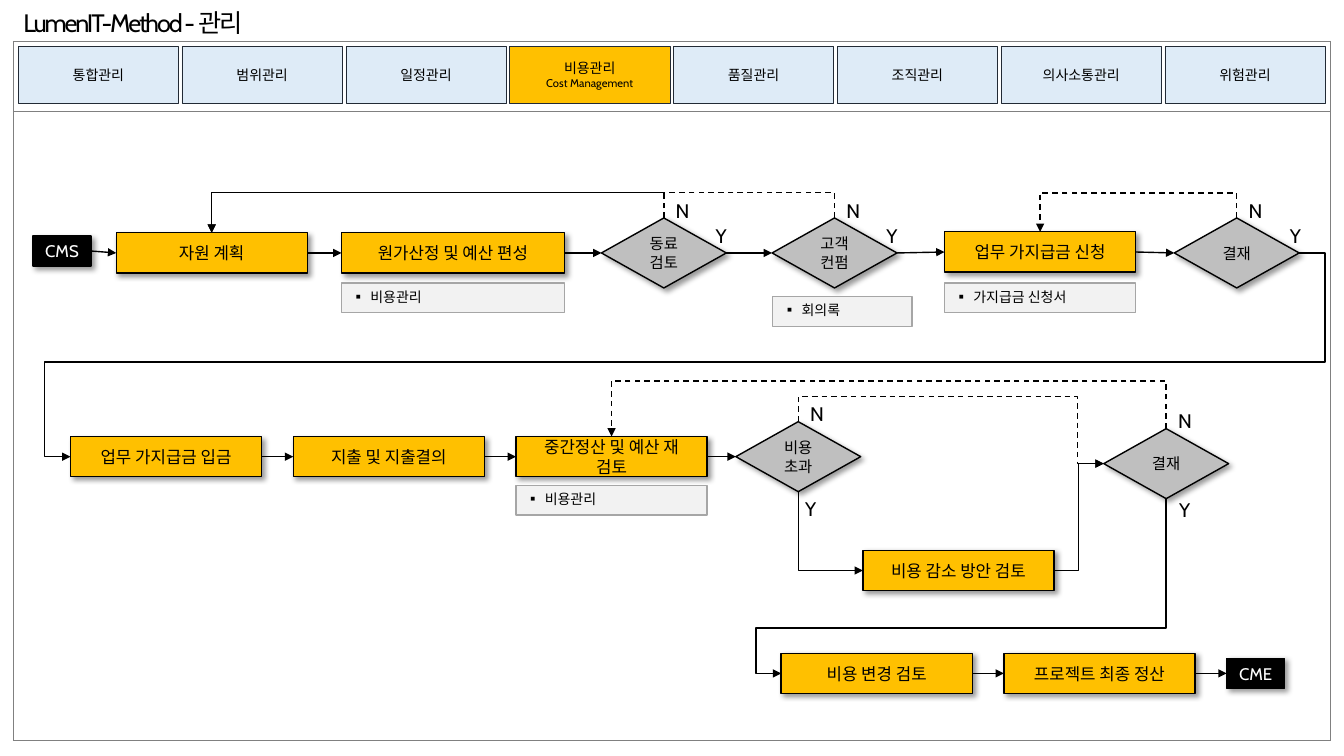
"""Build the cost management process slide."""
from lxml.etree import SubElement
from pptx import Presentation
from pptx.dml.color import RGBColor
from pptx.enum.dml import MSO_LINE
from pptx.enum.shapes import MSO_CONNECTOR, MSO_SHAPE
from pptx.enum.text import MSO_ANCHOR, MSO_AUTO_SIZE, PP_ALIGN
from pptx.oxml.ns import qn
from pptx.util import Pt

HUES = {
    "ink": "000000", "white": "FFFFFF", "gold": "FFC000", "sky": "DEEBF7",
    "navy": "222A35", "grey": "BFBFBF", "pale": "F2F2F2", "edge": "A6A6A6",
    "rule": "808080",
}
INK = {key: RGBColor.from_string(hue) for key, hue in HUES.items()}
HAN = "Noto Sans CJK KR"
RECT, GEM = MSO_SHAPE.RECTANGLE, MSO_SHAPE.DIAMOND

KINDS = {
    "tab": dict(form=RECT, high=41, fill="sky", line="navy", wide=0.25, size=10),
    "now": dict(form=RECT, high=41, fill="gold", line="navy", wide=0.25, size=10),
    "task": dict(form=RECT, high=28.8, fill="gold", line="ink", wide=1, size=12),
    "gate": dict(form=GEM, high=50, fill="grey", line="ink", wide=1, size=11),
    "end": dict(form=RECT, high=21.6, fill="ink", line="ink", wide=1, size=12),
    "note": dict(form=RECT, high=21.2, fill="pale", line="edge", wide=1, size=10),
}

deck = Presentation()
deck.slide_width, deck.slide_height = Pt(960), Pt(540)
slide = deck.slides.add_slide(deck.slide_layouts[5])
shapes = slide.shapes


def write(shape, text, size, hue="ink", face="Cabin", align=PP_ALIGN.CENTER,
          anchor=MSO_ANCHOR.MIDDLE, wrap=True):
    """Fill a shape with formatted lines of text."""
    frame = shape.text_frame
    frame.text = text
    frame.vertical_anchor = anchor
    frame.word_wrap = wrap
    if not wrap:
        frame.auto_size = MSO_AUTO_SIZE.SHAPE_TO_FIT_TEXT
    for para in frame.paragraphs:
        para.alignment = align
        for run in para.runs:
            looks = {"name": face, "size": Pt(size)}
            for key, value in looks.items():
                setattr(run.font, key, value)
            run.font.color.rgb = INK[hue]
            SubElement(run.font._element, qn("a:ea"), typeface=HAN)
    return frame


def wire(start, stop, form="line", turn=0, flip="", bends=(), dash=False):
    """Draw an arrow, straight or bent, with its bends in points."""
    (x1, y1), (x2, y2) = start, stop
    if form == "line":
        line = shapes.add_connector(MSO_CONNECTOR.STRAIGHT, Pt(x1), Pt(y1), Pt(x2), Pt(y2))
    else:
        wide, high = abs(x2 - x1), abs(y2 - y1)
        if turn % 180:
            wide, high = high, wide
        left, top = (x1 + x2 - wide) / 2, (y1 + y2 - high) / 2
        line = shapes.add_connector(
            MSO_CONNECTOR.ELBOW, Pt(left), Pt(top), Pt(left + wide), Pt(top + high))
        frame = line._element.spPr.find(qn("a:xfrm"))
        frame.set("rot", str(turn * 60000))
        for side in flip:
            frame.set("flip" + side.upper(), "1")
        geom = line._element.spPr.find(qn("a:prstGeom"))
        geom.set("prst", form)
        marks = geom.find(qn("a:avLst"))
        for num, bend in enumerate(bends):
            part = bend / (high if num % 2 else wide)
            SubElement(marks, qn("a:gd"), name=f"adj{num + 1}", fmla=f"val {round(part * 100000)}")
    line.line.width = Pt(1)
    line.line.color.rgb = INK["ink"]
    if dash:
        line.line.dash_style = MSO_LINE.DASH
    SubElement(line.line._get_or_add_ln(), qn("a:tailEnd"), type="triangle")
    SubElement(line._element.spPr, qn("a:effectLst"))


title = shapes.title
title.left, title.top, title.width, title.height = Pt(9.4), Pt(1.5), Pt(260), Pt(29)
frame = write(title, "LumenIT-Method - 관리", 18, align=PP_ALIGN.LEFT,
              anchor=MSO_ANCHOR.TOP)
frame.auto_size = MSO_AUTO_SIZE.NONE
frame.paragraphs[0].runs[0].font._element.set("spc", "-150")

grid = shapes.add_table(2, 1, Pt(9.4), Pt(29.5), Pt(941), Pt(499)).table
for row, high in zip(grid.rows, (49.7, 449.3)):
    row.height = Pt(high)
    cell = row.cells[0]
    for side in "LRTB":
        rim = SubElement(cell._tc.get_or_add_tcPr(), qn("a:ln" + side), w="6350")
        paint = SubElement(rim, qn("a:solidFill"))
        SubElement(paint, qn("a:srgbClr"), val=HUES["rule"])
    cell.fill.background()

AREAS = ["통합관리", "범위관리", "일정관리", "비용관리\nCost Management",
         "품질관리", "조직관리", "의사소통관리", "위험관리"]
nodes = [(f"tab{num}", "now" if "\n" in text else "tab", 13 + 117 * num, 53.5, 114.5, text)
         for num, text in enumerate(AREAS)]
TOP, MID, LOW = 180.7, 326.2, 481
STEP, LONG, GEMS = 159.1, 136.5, 89.2
nodes += [
    ("cms", "end", 23.6, 179.3, 41.4, "CMS"),
    ("plan", "task", 83, TOP, LONG, "자원 계획"),
    ("cost", "task", 244, TOP, 159.2, "원가산정 및 예산 편성"),
    ("peer", "gate", 429.6, TOP, GEMS, "동료\n검토"),
    ("client", "gate", 551.5, TOP, GEMS, "고객컨펌"),
    ("claim", "task", 674.7, 180, LONG, "업무 가지급금 신청"),
    ("sign", "gate", 838.8, TOP, GEMS, "결재"),
    ("pay", "task", 50.4, MID, LONG, "업무 가지급금 입금"),
    ("spend", "task", 50.4 + STEP, MID, LONG, "지출 및 지출결의"),
    ("check", "task", 50.4 + 2 * STEP, MID, LONG, "중간정산 및 예산 재 검토"),
    ("over", "gate", 525.6, MID, GEMS, "비용\n초과"),
    ("pass", "gate", 788.4, 331.2, GEMS, "결재"),
    ("cut", "task", 616.4, 407.5, LONG, "비용 감소 방안 검토"),
    ("change", "task", 558, LOW, LONG, "비용 변경 검토"),
    ("close", "task", 558 + STEP, LOW, LONG, "프로젝트 최종 정산"),
    ("cme", "end", 876.2, LOW, 41.4, "CME"),
    ("note1", "note", 244, 212.8, 159.2, "비용관리"),
    ("note2", "note", 552, 222.5, 99.4, "회의록"),
    ("note3", "note", 674.7, 212.8, LONG, "가지급금 신청서"),
    ("note4", "note", 368.6, 357.3, LONG, "비용관리"),
]

ports = {}
for name, kind, left, mid, wide, text in nodes:
    look = KINDS[kind]
    high = look["high"]
    top = mid - high / 2
    ports |= {f"{name}.l": (left, mid), f"{name}.r": (left + wide, mid),
              f"{name}.t": (left + wide / 2, top), f"{name}.b": (left + wide / 2, top + high)}
    shape = shapes.add_shape(look["form"], Pt(left), Pt(top), Pt(wide), Pt(high))
    shape.shadow.inherit = False
    shape.fill.solid()
    shape.fill.fore_color.rgb = INK[look["fill"]]
    shape.line.color.rgb = INK[look["line"]]
    shape.line.width = Pt(look["wide"])
    if kind == "note":
        frame = write(shape, text, look["size"], face=HAN, align=PP_ALIGN.LEFT,
                      anchor=MSO_ANCHOR.TOP)
        props = frame.paragraphs[0]._p.get_or_add_pPr()
        props.set("marL", "171450")
        props.set("indent", "-171450")
        SubElement(props, qn("a:buFont"), typeface=HAN)
        SubElement(props, qn("a:buChar"), char="▪")
        continue
    frame = write(shape, text, look["size"], "white" if kind == "end" else "ink")
    if kind == "now":
        frame.paragraphs[1].runs[0].font.size = Pt(8)
    if kind in ("task", "gate"):
        frame.margin_left = frame.margin_right = Pt(9)
    if kind in ("task", "gate", "end"):
        glow = shape._element.spPr.find(qn("a:effectLst"))
        cast = SubElement(glow, qn("a:outerShdw"), blurRad="50800", dist="38100",
                          dir="2700000", algn="tl", rotWithShape="0")
        tint = SubElement(cast, qn("a:srgbClr"), val=HUES["ink"])
        SubElement(tint, qn("a:alpha"), val="40000")

CHAINS = ["cms plan cost peer client claim sign", "pay spend check over", "change close cme"]
for chain in CHAINS:
    names = chain.split()
    for first, after in zip(names, names[1:]):
        wire(ports[first + ".r"], ports[after + ".l"])

GAP = 18
LOOPS = [("peer", "plan", GAP), ("client", "plan", GAP),
         ("sign", "claim", GAP), ("pass", "check", 34)]
for gate, goal, rise in LOOPS:
    wire(ports[gate + ".t"], ports[goal + ".t"], "bentConnector3", 270, "hv", [-rise], True)

span = ports["sign.r"][0] - ports["pay.l"][0]
wire(ports["sign.r"], ports["pay.l"], "bentConnector5", 0, "h", [-GAP, 78, span + GAP])
drop = ports["pass.b"][0] - ports["change.l"][0]
wire(ports["pass.b"], ports["change.l"], "bentConnector4", 90, "", [92.4, drop + GAP])
wire(ports["over.t"], ports["pass.l"], "bentConnector4", 270, "h", [-GAP, 199.5], True)
wire(ports["cut.r"], ports["pass.l"], "bentConnector3", 0, "v", [17.5])
wire(ports["over.b"], ports["cut.l"], "bentConnector2", 270, "h")

YES = {"peer": (74.5, 0.5), "client": (74.5, 0.5), "sign": (75.5, 0.5),
       "over": (42.5, 50), "pass": (46.8, 45.8)}
for gate, (dx, dy) in YES.items():
    left, top = ports[gate + ".l"][0], ports[gate + ".t"][1]
    for text, x, y, wide in (("Y", dx, dy, 23), ("N", 46, -17.3, 25.2)):
        label = shapes.add_textbox(Pt(left + x), Pt(top + y), Pt(wide), Pt(24.2))
        write(label, text, 14, align=PP_ALIGN.LEFT, anchor=MSO_ANCHOR.TOP, wrap=False)

deck.save("out.pptx")
